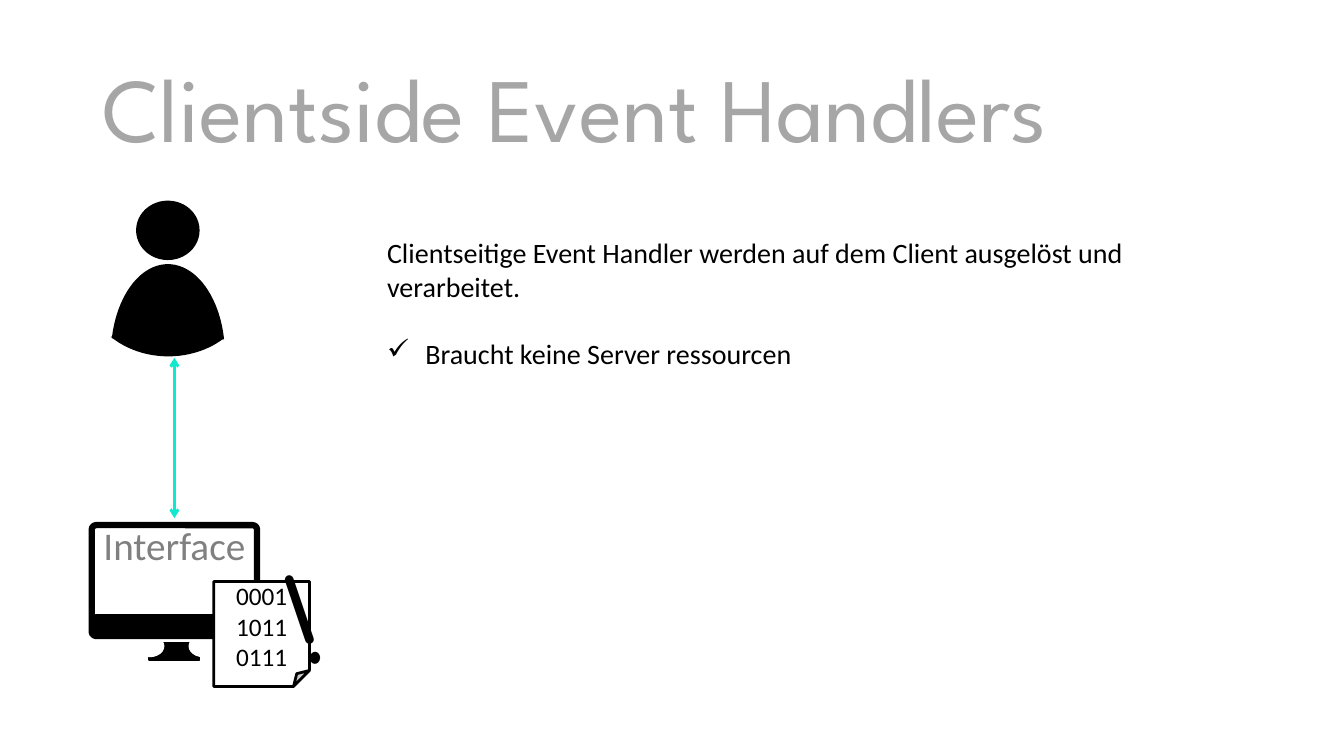
from lxml.etree import SubElement
from pptx import Presentation
from pptx.dml.color import RGBColor
from pptx.enum.shapes import MSO_CONNECTOR, MSO_SHAPE
from pptx.enum.text import MSO_ANCHOR, PP_ALIGN
from pptx.oxml.ns import qn
from pptx.util import Inches, Pt

TITLE = "Clientside Event Handlers"
EXPLANATION = "Clientseitige Event Handler werden auf dem Client ausgelöst und verarbeitet."
BENEFIT = "Braucht keine Server ressourcen"
SCREEN_LABEL = "Interface"
CODE_LINES = ["0001", "1011", "0111"]
ALERT = "!"

THEME = {
    "black": "000000", "white": "FFFFFF", "title": "A6A6A6",
    "label": "808080", "accent": "11E9CF",
    "title_font": "League Spartan", "body_font": "Calibri", "alert_font": "Comic Neue",
    "title_size": 64.8, "body_size": 20, "label_size": 28, "code_size": 18, "alert_size": 96,
}

MONITOR_STAND = [
    (MSO_SHAPE.RECTANGLE, (1.48, 6.38, 0.5, 0.17), "black", 1),
    (MSO_SHAPE.OVAL, (1.34, 6.3, 0.29, 0.22), "white", None),
    (MSO_SHAPE.OVAL, (1.87, 6.3, 0.29, 0.22), "white", None),
]
SCREEN = (0.91, 5.21, 1.64, 1.1)
SCREEN_BASE = (0.95, 6.1, 1.6, 0.19)
CODE_SHEET = (2.12, 5.77, 0.95, 1.04)
USER_HEAD = (1.35, 1.99, 0.63, 0.59)
USER_BODY = [
    ((0.77, 2.95, 1.79, 1.13), 90, (63.51, 153.12)),
    ((1.01, 2.07, 1.32, 1.61), 270, (78.61, 138.52)),
]
ARROW_X, ARROW_TOP, ARROW_BOTTOM = 1.73, 3.55, 5.14


def color(name):
    return RGBColor.from_string(THEME[name])


def add_part(slide, kind, box, fill, line_width=None, rotation=0, adjustments=()):
    shape = slide.shapes.add_shape(kind, *map(Inches, box))
    shape.shadow.inherit = False
    shape.rotation = rotation
    shape.fill.solid()
    shape.fill.fore_color.rgb = color(fill)
    if line_width:
        shape.line.color.rgb = color("black")
        shape.line.width = Pt(line_width)
    else:
        shape.line.fill.background()
    for index, value in enumerate(adjustments):
        shape.adjustments[index] = value
    return shape


def write(shape, lines, role, ink, align=PP_ALIGN.LEFT, anchor=MSO_ANCHOR.TOP):
    frame = shape.text_frame
    frame.word_wrap = True
    frame.vertical_anchor = anchor
    frame.text = "\n".join(lines)
    for paragraph in frame.paragraphs:
        paragraph.alignment = align
        paragraph.font.name = THEME.get(f"{role}_font", THEME["body_font"])
        paragraph.font.size = Pt(THEME[f"{role}_size"])
        paragraph.font.color.rgb = color(ink)
    return frame


def add_check_mark(paragraph):
    properties = paragraph._p.get_or_add_pPr()
    properties.set("marL", str(Inches(0.38)))
    properties.set("indent", str(-Inches(0.38)))
    bullet = properties.makeelement(qn("a:buChar"), {"char": "✓"})
    properties.insert_element_before(bullet, "a:tabLst", "a:defRPr", "a:extLst")


def add_double_arrow(slide):
    arrow = slide.shapes.add_connector(
        MSO_CONNECTOR.STRAIGHT, Inches(ARROW_X), Inches(ARROW_TOP),
        Inches(ARROW_X), Inches(ARROW_BOTTOM))
    arrow.line.color.rgb = color("accent")
    arrow.line.width = Pt(2)
    line = arrow.line._get_or_add_ln()
    for end in ("a:headEnd", "a:tailEnd"):
        SubElement(line, qn(end), type="arrow")
    SubElement(arrow._element.spPr, qn("a:effectLst"))


def add_text(slide, box):
    return slide.shapes.add_textbox(*map(Inches, box))


def main():
    presentation = Presentation()
    presentation.slide_width = Inches(13.33)
    presentation.slide_height = Inches(7.5)
    slide = presentation.slides.add_slide(presentation.slide_layouts[6])

    for kind, box, fill, width in MONITOR_STAND:
        add_part(slide, kind, box, fill, width)
    screen = add_part(slide, MSO_SHAPE.ROUNDED_RECTANGLE, SCREEN, "white", 4.5,
                      adjustments=(0.04,))
    label = write(screen, [SCREEN_LABEL], "label", "label", PP_ALIGN.CENTER)
    label.margin_top = Inches(-0.05)
    add_part(slide, MSO_SHAPE.RECTANGLE, SCREEN_BASE, "black", 1)

    title = write(add_text(slide, (0.92, 0.4, 12.18, 1.45)), [TITLE], "title", "title",
                  anchor=MSO_ANCHOR.MIDDLE)
    title.paragraphs[0].line_spacing = 0.9

    body = write(add_text(slide, (3.74, 2.29, 8.71, 1.45)), [EXPLANATION, BENEFIT],
                 "body", "black")
    benefit = body.paragraphs[1]
    benefit.space_before = Pt(24)
    add_check_mark(benefit)

    sheet = add_part(slide, MSO_SHAPE.FOLDED_CORNER, CODE_SHEET, "white", 2)
    write(sheet, CODE_LINES, "code", "black", PP_ALIGN.CENTER, MSO_ANCHOR.MIDDLE)
    add_double_arrow(slide)

    add_part(slide, MSO_SHAPE.OVAL, USER_HEAD, "black")
    for box, rotation, angles in USER_BODY:
        add_part(slide, MSO_SHAPE.CHORD, box, "black", None, rotation, angles)

    alert = add_text(slide, (2.62, 5.22, 0.71, 1.72))
    alert.rotation = 341.3
    write(alert, [ALERT], "alert", "black", PP_ALIGN.CENTER)

    presentation.save("out.pptx")


if __name__ == "__main__":
    main()
